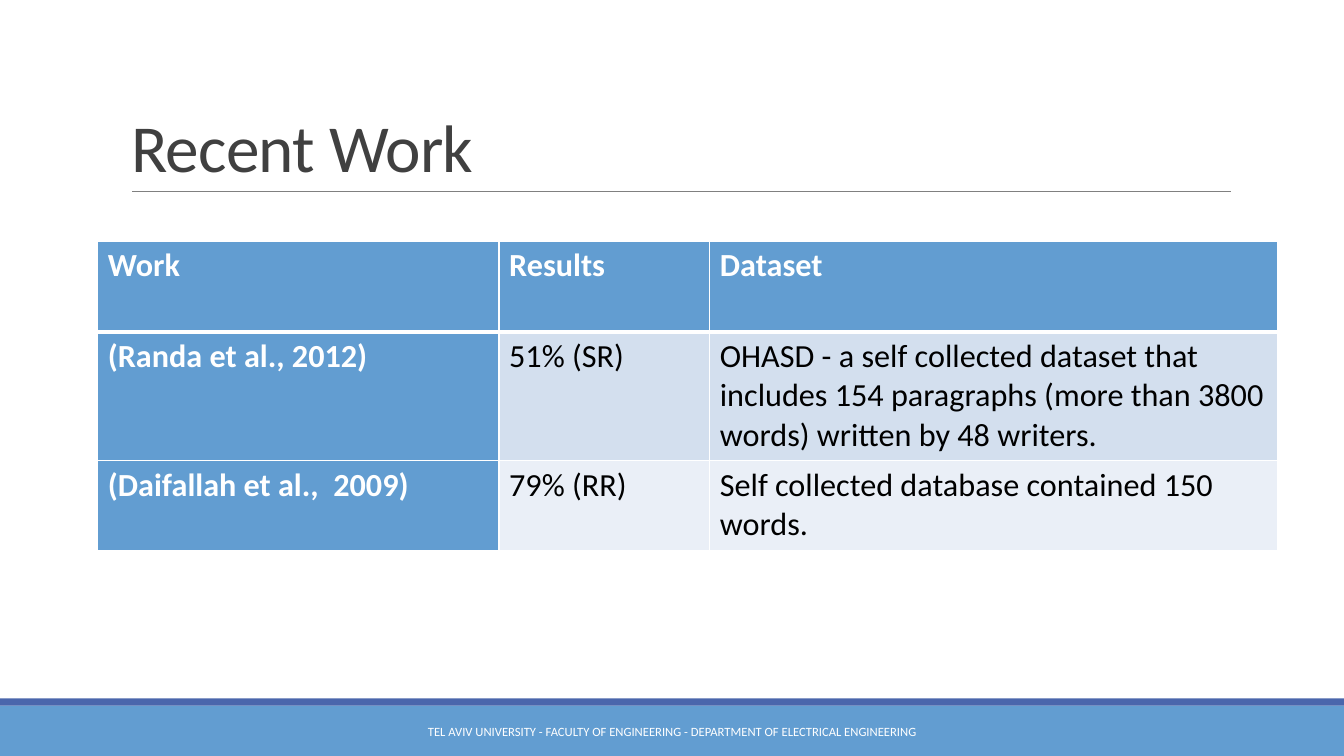
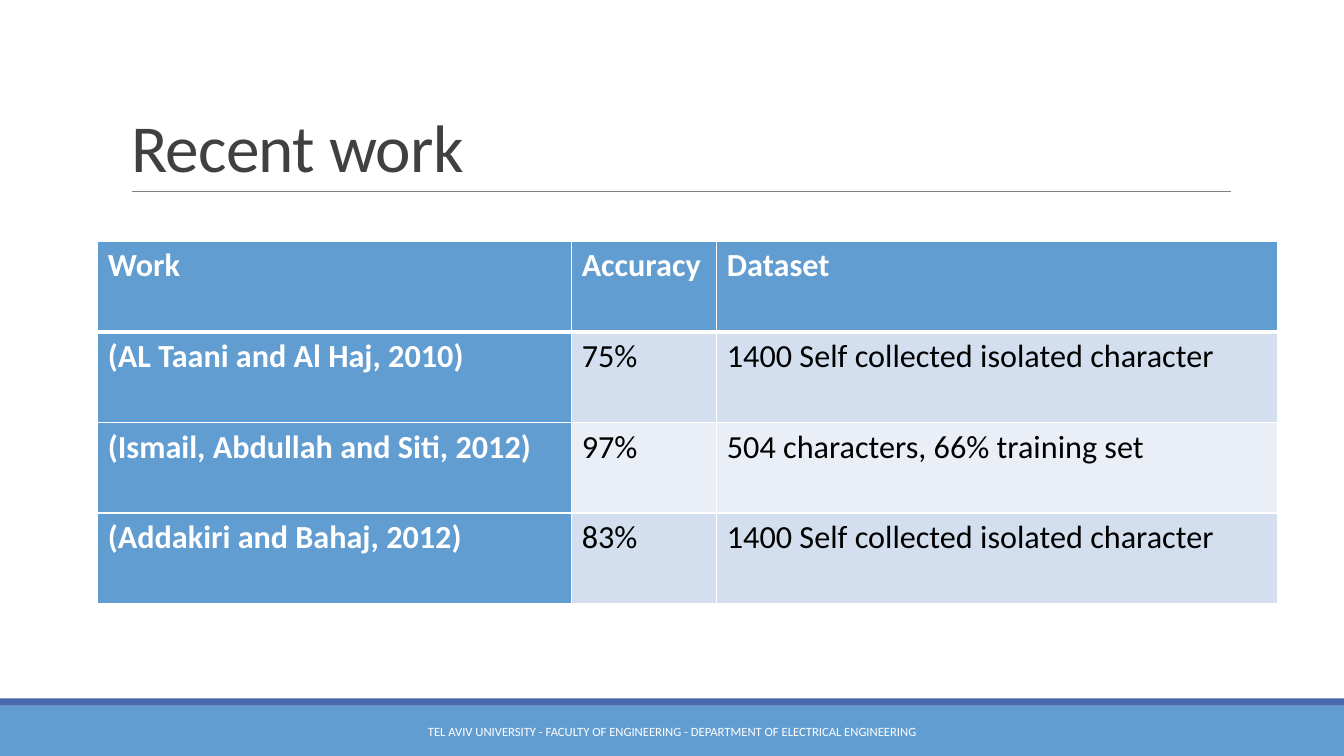
from lxml import etree
from pptx import Presentation
from pptx import util as u
from pptx.dml.color import RGBColor
from pptx.enum import shapes, text
from pptx.oxml.ns import qn

C = {"blue": "629DD1", "indigo": "4A66AC", "rule": "808080", "title": "404040",
     "white": "FFFFFF", "black": "000000", "odd": "D3DFEE", "even": "EAEFF7"}
FONT = "Calibri"
FOOTER = "TEL AVIV UNIVERSITY - FACULTY OF ENGINEERING - DEPARTMENT OF ELECTRICAL ENGINEERING"
BANDS = [(7, 0.5, "blue"), (6.93, 0.07, "indigo")]
SLIDES = [
    ("Recent Work", [3.98, 2.09, 5.63], [0.9, 1.27, 0.9], [
        ("Work", "Results", "Dataset"),
        ("(Randa et al., 2012)", "51% (SR)",
         "OHASD - a self collected dataset that includes 154 paragraphs "
         "(more than 3800 words) written by 48 writers."),
        ("(Daifallah et al.,  2009)", "79% (RR)",
         "Self collected database contained 150 words."),
    ]),
    ("Recent work", [4.7, 1.44, 5.56], [0.9] * 4, [
        ("Work", "Accuracy", "Dataset"),
        ("(AL Taani and Al Haj, 2010)", "75%", "1400 Self collected isolated character"),
        ("(Ismail, Abdullah and Siti, 2012)", "97%", "504 characters, 66% training set"),
        ("(Addakiri and Bahaj, 2012)", "83%", "1400 Self collected isolated character"),
    ]),
]


def style(p, size, color, bold=False):
    p.font.name = FONT
    p.font.size = u.Pt(size)
    p.font.bold = bold
    p.font.color.rgb = RGBColor.from_string(C[color])


def border(cell, side, width):
    tcPr = cell._tc.get_or_add_tcPr()
    ln = etree.SubElement(tcPr, qn(f"a:ln{side}"), w=str(u.Pt(width)))
    fill = etree.SubElement(ln, qn("a:solidFill"))
    etree.SubElement(fill, qn("a:srgbClr"), val=C["white"])


prs = Presentation()
prs.slide_width, prs.slide_height = u.Inches(13.33), u.Inches(7.5)

for title, widths, heights, rows in SLIDES:
    s = prs.slides.add_slide(prs.slide_layouts[5])

    for top, height, color in BANDS:
        sp = s.shapes.add_shape(shapes.MSO_SHAPE.RECTANGLE, 0, u.Inches(top),
                                prs.slide_width, u.Inches(height))
        sp.shadow.inherit = False
        sp.fill.solid()
        sp.fill.fore_color.rgb = RGBColor.from_string(C[color])
        sp.line.fill.background()

    rule = s.shapes.add_connector(shapes.MSO_CONNECTOR.STRAIGHT, u.Inches(1.31),
                                  u.Inches(1.9), u.Inches(12.21), u.Inches(1.9))
    rule.line.color.rgb = RGBColor.from_string(C["rule"])
    rule.line.width = u.Pt(0.5)
    etree.SubElement(rule._element.spPr, qn("a:effectLst"))

    sp = s.shapes.title
    sp.left, sp.top = u.Inches(1.2), u.Inches(0.31)
    sp.width, sp.height = u.Inches(11), u.Inches(1.59)
    tf = sp.text_frame
    tf.text = title
    tf.auto_size = text.MSO_AUTO_SIZE.NONE
    tf.vertical_anchor = text.MSO_ANCHOR.BOTTOM
    p = tf.paragraphs[0]
    p.alignment = text.PP_ALIGN.LEFT
    p.line_spacing = 0.85
    style(p, 48, "title")
    p.runs[0].font._element.set("spc", "-50")

    tbl = s.shapes.add_table(len(rows), len(widths), u.Inches(0.97), u.Inches(2.39),
                             u.Inches(sum(widths)), u.Inches(sum(heights))).table
    for col, width in zip(tbl.columns, widths):
        col.width = u.Inches(width)
    for i, (row, height) in enumerate(zip(rows, heights)):
        tbl.rows[i].height = u.Inches(height)
        for j, value in enumerate(row):
            cell = tbl.cell(i, j)
            head = i == 0 or j == 0
            for side in "LRTB":
                heavy = (i, side) in [(0, "B"), (1, "T")]
                border(cell, side, 3 if heavy else 1)
            cell.fill.solid()
            band = "blue" if head else "odd" if i % 2 else "even"
            cell.fill.fore_color.rgb = RGBColor.from_string(C[band])
            cell.text = value
            style(cell.text_frame.paragraphs[0], 23, "white" if head else "black", head)

    tf = s.shapes.add_textbox(u.Inches(4.03), u.Inches(7.06),
                              u.Inches(5.27), u.Inches(0.4)).text_frame
    tf.word_wrap = True
    tf.vertical_anchor = text.MSO_ANCHOR.MIDDLE
    tf.text = FOOTER
    p = tf.paragraphs[0]
    p.alignment = text.PP_ALIGN.CENTER
    style(p, 9, "white")

prs.save("out.pptx")
